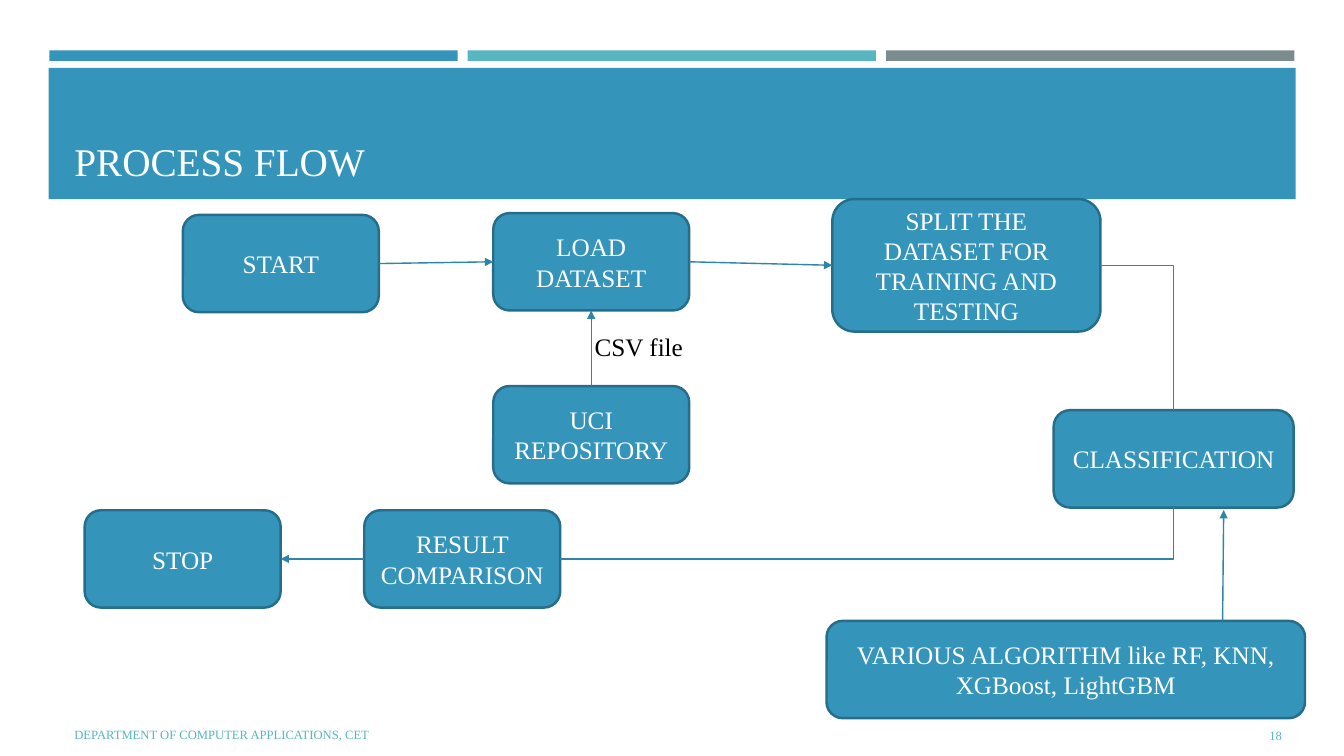
"""Build the process flow slide, with every length a share of the slide's size."""
from dataclasses import dataclass
from typing import Optional

from lxml import etree
from pptx import Presentation
from pptx import util as u
from pptx.dml.color import RGBColor
from pptx.enum import shapes, text
from pptx.oxml import ns


@dataclass(frozen=True)
class Theme:
    font: str = "Times New Roman"
    blue: str = "3494BA"
    teal: str = "58B6C0"
    grey: str = "7A8C8E"
    border: str = "266D8A"
    arrow: str = "2F85A7"
    white: str = "FFFFFF"
    black: str = "000000"
    title_size: float = 28
    body_size: float = 18
    footer_size: float = 9
    border_width: float = 1.75
    arrow_width: float = 1


@dataclass(frozen=True)
class Area:
    """Left, top, width and height in hundredths of the slide."""
    left: float
    top: float
    width: float
    height: float


@dataclass(frozen=True)
class Step:
    name: str
    label: str
    left: float
    top: float
    width: float = 14.58
    height: float = 12.87


@dataclass(frozen=True)
class Link:
    source: str
    source_side: int
    target: str
    target_side: int
    bent: bool = False


@dataclass(frozen=True)
class Caption:
    label: str
    area: Area
    size: float
    color: str
    align: text.PP_ALIGN = text.PP_ALIGN.LEFT
    anchor: text.MSO_ANCHOR = text.MSO_ANCHOR.MIDDLE
    wrap: bool = True


THEME = Theme()
TOP, LEFT, BOTTOM, RIGHT = range(4)
SLIDE_WIDTH, SLIDE_HEIGHT = u.Inches(13.33), u.Inches(7.5)

BAR = Area(3.67, 6.67, 30.38, 1.4)
BAR_PITCH = 31.13
BANNER = Area(3.63, 8.97, 92.78, 17.38)

STEPS = [
    Step("start", "START", 13.6, 28.43),
    Step("load", "LOAD DATASET", 36.7, 28.2),
    Step("split", "SPLIT THE DATASET FOR TRAINING AND TESTING", 61.93, 26.33, 19.95, 17.53),
    Step("classify", "CLASSIFICATION", 78.4, 54.27, 17.85),
    Step("compare", "RESULT COMPARISON", 27.1, 67.5),
    Step("stop", "STOP", 6.3, 67.5),
    Step("repository", "UCI REPOSITORY", 36.7, 51.07),
    Step("algorithms", "VARIOUS ALGORITHM like RF, KNN, XGBoost, LightGBM", 61.5, 82.13, 35.6),
]

LINKS = [
    Link("start", RIGHT, "load", LEFT),
    Link("load", RIGHT, "split", LEFT),
    Link("compare", LEFT, "stop", RIGHT),
    Link("repository", TOP, "load", BOTTOM),
    Link("split", RIGHT, "classify", TOP, bent=True),
    Link("compare", RIGHT, "classify", BOTTOM, bent=True),
]

CAPTIONS = [
    Caption("PROCESS FLOW", Area(4.8, 10.27, 90.45, 14.8), THEME.title_size, THEME.white,
            anchor=text.MSO_ANCHOR.BOTTOM),
    Caption("CSV file", Area(43.5, 43.2, 8.17, 5.33), THEME.body_size, THEME.black,
            anchor=text.MSO_ANCHOR.TOP, wrap=False),
    Caption("DEPARTMENT OF COMPUTER APPLICATIONS, CET", Area(4.8, 94.53, 56.7, 5.33),
            THEME.footer_size, THEME.teal),
    Caption("18", Area(87.5, 94.67, 8.62, 5.33), THEME.footer_size, THEME.teal,
            align=text.PP_ALIGN.RIGHT),
]


def across(share: float) -> int:
    return round(SLIDE_WIDTH * share / 100)


def down(share: float) -> int:
    return round(SLIDE_HEIGHT * share / 100)


def place(area) -> tuple:
    return across(area.left), down(area.top), across(area.width), down(area.height)


def write(frame, label: str, size: float, color: str, align) -> None:
    para = frame.paragraphs[0]
    para.alignment = align
    span = para.add_run()
    span.text = label
    span.font.name = THEME.font
    span.font.size = u.Pt(size)
    span.font.color.rgb = RGBColor.from_string(color)


def draw_box(page, kind, area, fill: str, border: Optional[str] = None):
    box = page.shapes.add_shape(kind, *place(area))
    box.shadow.inherit = False
    box.fill.solid()
    box.fill.fore_color.rgb = RGBColor.from_string(fill)
    if border:
        box.line.color.rgb = RGBColor.from_string(border)
        box.line.width = u.Pt(THEME.border_width)
    else:
        box.line.fill.background()
    return box


def draw_step(page, step: Step):
    box = draw_box(page, shapes.MSO_SHAPE.ROUNDED_RECTANGLE, step, THEME.blue, THEME.border)
    box.text_frame.word_wrap = True
    box.text_frame.vertical_anchor = text.MSO_ANCHOR.MIDDLE
    write(box.text_frame, step.label, THEME.body_size, THEME.white, text.PP_ALIGN.CENTER)
    return box


def draw_caption(page, caption: Caption) -> None:
    frame = page.shapes.add_textbox(*place(caption.area)).text_frame
    frame.word_wrap = caption.wrap
    frame.vertical_anchor = caption.anchor
    write(frame, caption.label, caption.size, caption.color, caption.align)


def draw_line(page, ends: tuple = (0, 0, 0, 0), bent: bool = False):
    kind = shapes.MSO_CONNECTOR.ELBOW if bent else shapes.MSO_CONNECTOR.STRAIGHT
    line = page.shapes.add_connector(kind, *ends)
    line.line.color.rgb = RGBColor.from_string(THEME.arrow)
    line.line.width = u.Pt(THEME.arrow_width)
    properties = line._element.spPr
    if bent:
        properties.find(ns.qn("a:prstGeom")).set("prst", "bentConnector2")
    else:
        etree.SubElement(properties.find(ns.qn("a:ln")), ns.qn("a:tailEnd"), type="triangle")
    etree.SubElement(properties, ns.qn("a:effectLst"))
    return line


def draw_link(page, link: Link, boxes: dict) -> None:
    line = draw_line(page, bent=link.bent)
    line.begin_connect(boxes[link.source], link.source_side)
    line.end_connect(boxes[link.target], link.target_side)


def main() -> None:
    deck = Presentation()
    deck.slide_width, deck.slide_height = SLIDE_WIDTH, SLIDE_HEIGHT
    page = deck.slides.add_slide(deck.slide_layouts[6])
    for index, color in enumerate((THEME.blue, THEME.teal, THEME.grey)):
        area = Area(BAR.left + index * BAR_PITCH, BAR.top, BAR.width, BAR.height)
        draw_box(page, shapes.MSO_SHAPE.RECTANGLE, area, color)
    draw_box(page, shapes.MSO_SHAPE.RECTANGLE, BANNER, THEME.blue)
    boxes = {step.name: draw_step(page, step) for step in STEPS}
    for link in LINKS:
        draw_link(page, link, boxes)
    draw_line(page, (across(90.97), down(82.13), across(91.05), down(67.47)))
    for caption in CAPTIONS:
        draw_caption(page, caption)
    deck.save("out.pptx")


if __name__ == "__main__":
    main()
